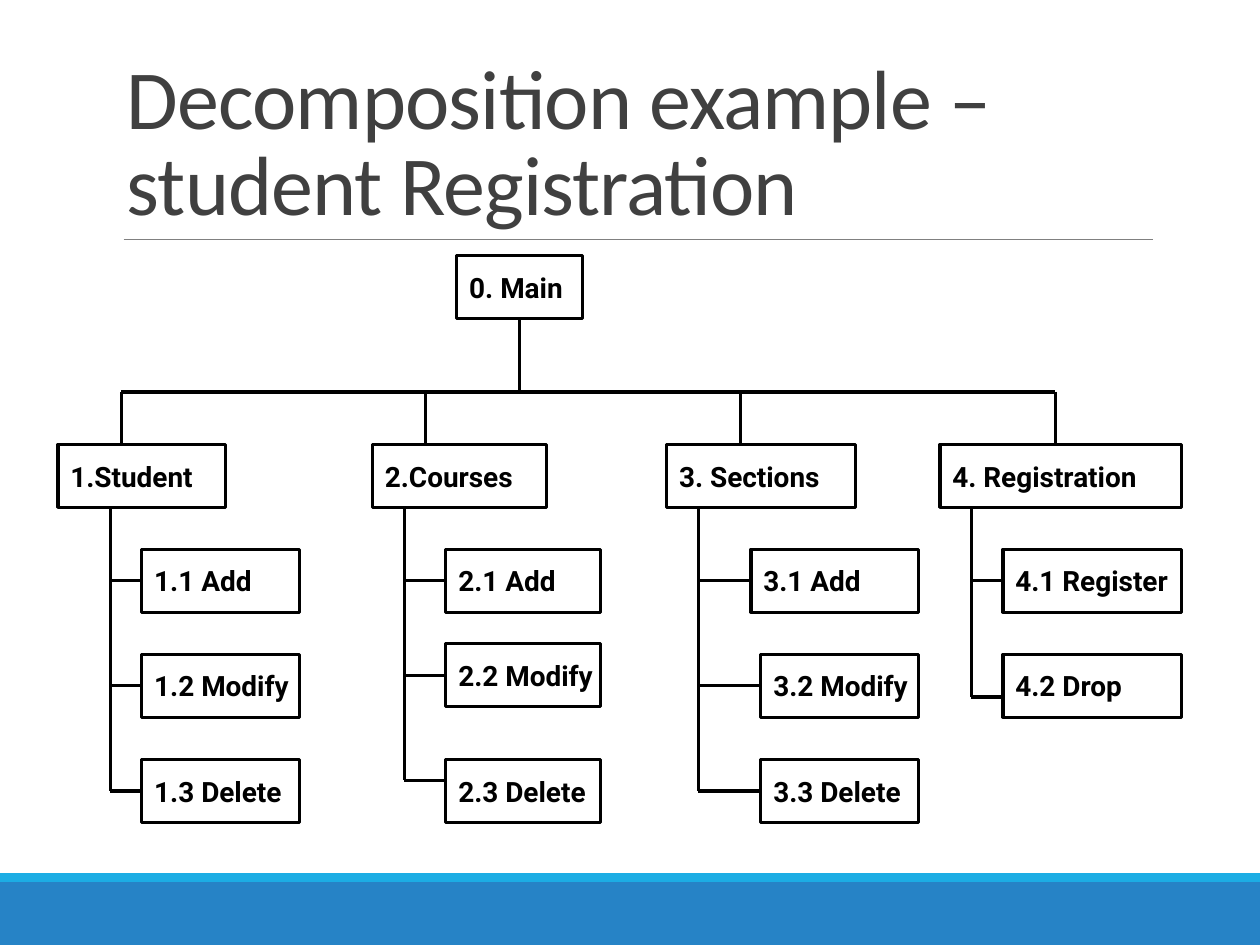
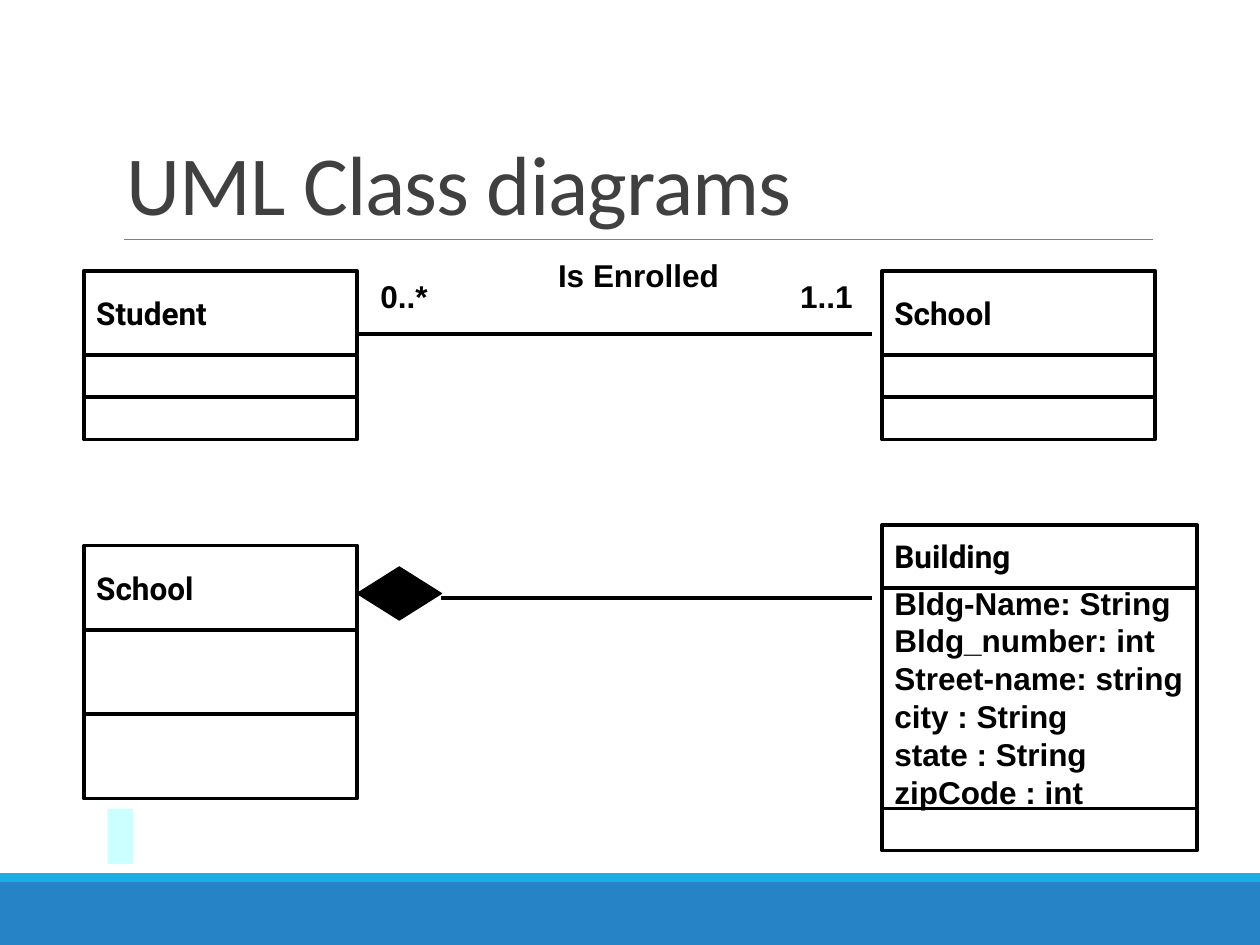
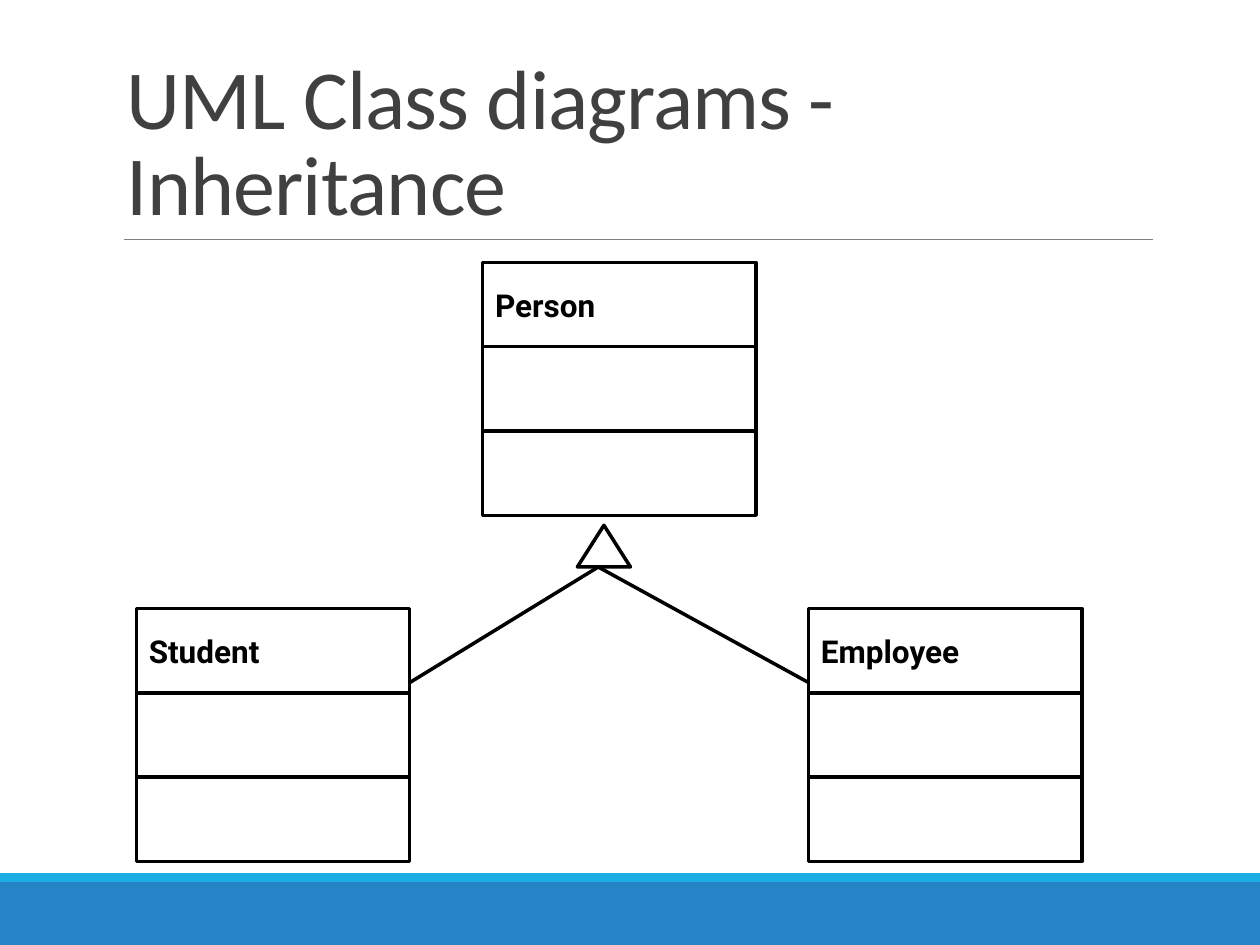
from lxml.etree import SubElement
from pptx import Presentation
from pptx.dml.color import RGBColor
from pptx.enum.shapes import MSO_CONNECTOR, MSO_SHAPE
from pptx.enum.text import MSO_ANCHOR, MSO_AUTO_SIZE, PP_ALIGN
from pptx.oxml.ns import qn
from pptx.util import Cm, Pt

COLOURS = {
    "band": "2683C6",
    "stripe": "1CADE4",
    "rule": "808080",
    "title": "404040",
    "ink": "000000",
    "paper": "FFFFFF",
    "accent": "CCFFFF",
}
FONTS = {
    "title": {"name": "Calibri", "size": Pt(48)},
    "module": {"name": "Roboto", "size": Pt(16), "bold": True},
    "class": {"name": "Roboto", "size": Pt(18), "bold": True},
    "label": {"name": "Arial", "size": Pt(18), "bold": True},
}
MODULE_LINE = 1.75
CLASS_LINE = 2
MODULE_HEIGHT = 1.27
MODULE_TOP = 8.96
BUS_Y = 7.9
SUB_TOPS = (11.07, 13.19, 15.31)
CLASS_WIDTH = 5.51
CLASS_ROWS = (1.7, 1.7, 1.7)
MIDDLE = MODULE_HEIGHT / 2

MODULES = [
    ("1.Student", 1.17, 3.38, 2.44, 2.22, [
        ("1.1 Add", 2.86, SUB_TOPS[0], 3.18, MIDDLE),
        ("1.2 Modify", 2.86, SUB_TOPS[1], 3.18, MIDDLE),
        ("1.3 Delete", 2.86, SUB_TOPS[2], 3.18, MIDDLE)]),
    ("2.Courses", 7.51, 3.51, 8.57, 8.15, [
        ("2.1 Add", 8.99, SUB_TOPS[0], 3.12, MIDDLE),
        ("2.2 Modify", 8.99, 12.98, 3.12, MIDDLE),
        ("2.3 Delete", 8.99, SUB_TOPS[2], 3.12, 0.42)]),
    ("3. Sections", 13.44, 3.81, 14.92, 14.08, [
        ("3.1 Add", 15.14, SUB_TOPS[0], 3.38, MIDDLE),
        ("3.2 Modify", 15.34, SUB_TOPS[1], 3.18, MIDDLE),
        ("3.3 Delete", 15.34, SUB_TOPS[2], 3.18, MIDDLE)]),
    ("4. Registration", 18.95, 4.87, 21.27, 19.58, [
        ("4.1 Register", 20.22, SUB_TOPS[0], 3.6, MIDDLE),
        ("4.2 Drop", 20.22, SUB_TOPS[1], 3.6, 0.86)]),
]
ATTRIBUTES = [
    "Bldg-Name: String",
    "Bldg_number: int",
    "Street-name: string",
    "city : String",
    "state : String",
    "zipCode : int",
]


def colour(name):
    """Return the named colour."""
    return RGBColor.from_string(COLOURS[name])


def write_text(frame, text, style, ink="ink"):
    """Fill a text frame with left-aligned paragraphs in one style."""
    frame.text = text
    for paragraph in frame.paragraphs:
        paragraph.alignment = PP_ALIGN.LEFT
        for run in paragraph.runs:
            for attribute, value in FONTS[style].items():
                setattr(run.font, attribute, value)
            run.font.color.rgb = colour(ink)


def add_box(slide, left, top, width, height, fill="paper", line=None,
            kind=MSO_SHAPE.RECTANGLE, text="", style="class"):
    """Add a filled shape, outlined when a line width is given."""
    shape = slide.shapes.add_shape(kind, Cm(left), Cm(top), Cm(width), Cm(height))
    shape.shadow.inherit = False
    shape.fill.solid()
    shape.fill.fore_color.rgb = colour(fill)
    if line:
        shape.line.color.rgb = colour("ink")
        shape.line.width = Pt(line)
    else:
        shape.line.fill.background()
    if text:
        frame = shape.text_frame
        frame.word_wrap = False
        frame.vertical_anchor = MSO_ANCHOR.MIDDLE
        write_text(frame, text, style)
    return shape


def add_line(slide, x1, y1, x2, y2, width, ink="ink"):
    """Add a straight connector without a shadow."""
    connector = slide.shapes.add_connector(
        MSO_CONNECTOR.STRAIGHT, Cm(x1), Cm(y1), Cm(x2), Cm(y2))
    connector.line.color.rgb = colour(ink)
    connector.line.width = Pt(width)
    SubElement(connector._element.spPr, qn("a:effectLst"))
    return connector


def add_label(slide, text, left, top, width, height=1.02, wrap=False):
    """Add a text box that grows with its text."""
    box = slide.shapes.add_textbox(Cm(left), Cm(top), Cm(width), Cm(height))
    box.text_frame.word_wrap = wrap
    box.text_frame.auto_size = MSO_AUTO_SIZE.SHAPE_TO_FIT_TEXT
    write_text(box.text_frame, text, "label")


def add_class(slide, name, left, top, width=CLASS_WIDTH, rows=CLASS_ROWS):
    """Stack the compartments of a UML class, the name in the first."""
    for index, height in enumerate(rows):
        add_box(slide, left, top, width, height, line=CLASS_LINE,
                text="" if index else name)
        top += height


def add_module(slide, name, left, top, width):
    """Add one box of the decomposition tree."""
    return add_box(slide, left, top, width, MODULE_HEIGHT, line=MODULE_LINE,
                   text=name, style="module")


def add_slide(presentation, title):
    """Add a blank slide with the bands, the rule and the title."""
    slide = presentation.slides.add_slide(presentation.slide_layouts[6])
    add_box(slide, 0, 17.78, 25.4, 1.27, "band")
    add_box(slide, 0, 17.6, 25.4, 0.18, "stripe")
    add_line(slide, 2.49, 4.83, 23.24, 4.83, 0.5, "rule")
    box = slide.shapes.add_textbox(Cm(2.31), Cm(0.77), Cm(20.95), Cm(4.04))
    frame = box.text_frame
    frame.word_wrap = True
    frame.vertical_anchor = MSO_ANCHOR.BOTTOM
    write_text(frame, title, "title", "title")
    paragraph = frame.paragraphs[0]
    paragraph.line_spacing = 0.85
    paragraph.runs[0].font._element.set("spc", "-50")
    return slide


def add_branch(slide, name, left, width, drop_x, trunk_x, parts):
    """Add a module, its drop from the bus and its parts on a trunk."""
    add_module(slide, name, left, MODULE_TOP, width)
    add_line(slide, drop_x, BUS_Y, drop_x, MODULE_TOP, MODULE_LINE)
    for part, part_left, part_top, part_width, offset in parts:
        box = add_module(slide, part, part_left, part_top, part_width)
        branch_y = part_top + offset
        twig = add_line(slide, trunk_x, branch_y, part_left, branch_y, MODULE_LINE)
        if offset == MIDDLE:
            twig.end_connect(box, 1)
    add_line(slide, trunk_x, MODULE_TOP + MODULE_HEIGHT, trunk_x, branch_y, MODULE_LINE)


def build_decomposition(presentation):
    """Build the module tree of student registration."""
    slide = add_slide(presentation, "Decomposition example – student Registration")
    main_box = add_module(slide, "0. Main", 9.21, 5.15, 2.54)
    stem = add_line(slide, 10.48, 6.42, 10.48, BUS_Y, MODULE_LINE)
    stem.begin_connect(main_box, 2)
    add_line(slide, MODULES[0][3], BUS_Y, MODULES[-1][3], BUS_Y, 2)
    for module in MODULES:
        add_branch(slide, *module)


def build_associations(presentation):
    """Build the association and composition diagrams."""
    slide = add_slide(presentation, "UML Class diagrams")
    left, right = 1.69, 17.78
    for name, x in (("Student", left), ("School", right)):
        add_class(slide, name, x, 5.46, rows=(1.7, 0.85, 0.85))
    add_line(slide, left + CLASS_WIDTH, 6.73, 17.57, 6.73, CLASS_LINE)
    add_label(slide, "0..*", 7.42, 5.46, 1.47)
    add_label(slide, "1..1", 15.88, 5.46, 1.57)
    add_label(slide, "Is Enrolled", 11, 5.03, 3.81, wrap=True)

    add_class(slide, "School", left, 11)
    add_class(slide, "Building", right, 10.58, 6.35, (1.27, 4.45, 0.85))
    add_label(slide, "\n".join(ATTRIBUTES), right, 11.64, 6.5, 5.59)
    add_box(slide, 7.2, 11.43, 1.7, 1.07, "ink", 0.75, MSO_SHAPE.DIAMOND)
    add_line(slide, 8.9, 12.06, 17.57, 12.06, CLASS_LINE)
    add_box(slide, 2.17, 16.3, 0.51, 1.12, "accent")


def build_inheritance(presentation):
    """Build the inheritance diagram."""
    slide = add_slide(presentation, "UML Class diagrams - Inheritance")
    student_left, employee_left = 2.75, 16.3
    add_class(slide, "Student", student_left, 12.27)
    add_class(slide, "Person", 9.73, 5.29)
    add_class(slide, "Employee", employee_left, 12.27)
    for x in (student_left + CLASS_WIDTH, employee_left):
        add_line(slide, x, 13.76, 12.06, 11.43, CLASS_LINE)
    add_box(slide, 11.64, 10.59, 1.07, 0.84, line=CLASS_LINE,
            kind=MSO_SHAPE.ISOSCELES_TRIANGLE)


def main():
    """Build and save the presentation."""
    presentation = Presentation()
    presentation.slide_width = Cm(25.4)
    presentation.slide_height = Cm(19.05)
    build_decomposition(presentation)
    build_associations(presentation)
    build_inheritance(presentation)
    presentation.save("out.pptx")


if __name__ == "__main__":
    main()
